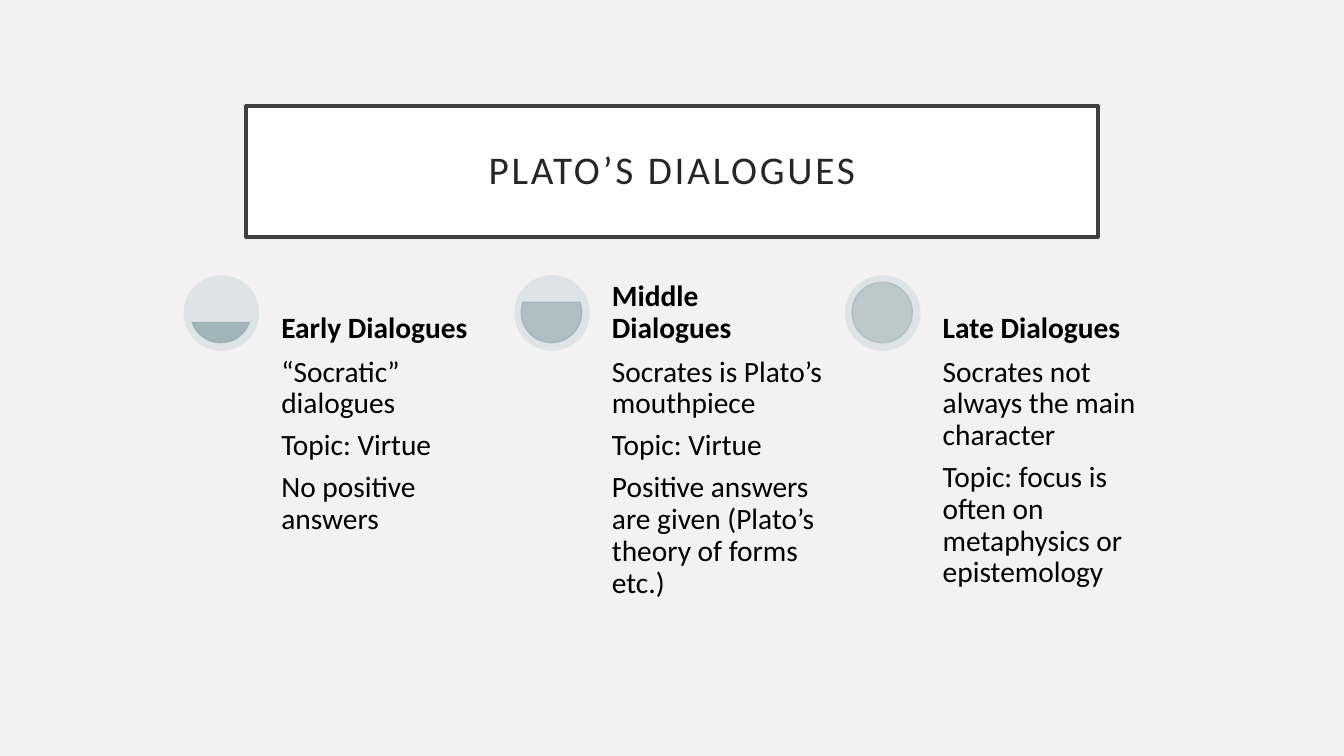
from dataclasses import dataclass
from math import asin, degrees

from lxml.etree import SubElement
from pptx import Presentation
from pptx.dml.color import RGBColor as RGB
from pptx.enum.shapes import MSO_SHAPE as SHAPE
from pptx.enum.text import MSO_ANCHOR as ANCHOR, MSO_AUTO_SIZE as AUTOSIZE, PP_ALIGN as ALIGN
from pptx.oxml.ns import qn
from pptx.util import Inches, Pt


@dataclass(frozen=True)
class Theme:
    """Colours, font and type sizes of the slide."""
    background: RGB = RGB(0xF2, 0xF2, 0xF2)
    panel: RGB = RGB(0xFF, 0xFF, 0xFF)
    border: RGB = RGB(0x40, 0x40, 0x40)
    title: RGB = RGB(0x26, 0x26, 0x26)
    text: RGB = RGB(0, 0, 0)
    disc: RGB = RGB(0xDE, 0xE3, 0xE5)
    level: RGB = RGB(0x9B, 0xAF, 0xB5)
    font: str = "Calibri"
    title_size: Pt = Pt(28)
    text_size: Pt = Pt(21)
    text_gap: Pt = Pt(7.35)


THEME = Theme()
LEFT, TOP, PITCH = 1.82, 2.73, 3.28
DISC, LEVEL_INSET, LEVEL = 0.75, 0.07, 0.6
TEXT_OFFSET, TEXT_WIDTH, POINTS_HEIGHT = 0.91, 2.22, 3.16

# Heading, level height from -1 (empty) to 1 (full), opacity in percent, points
PERIODS = [
    ("Early Dialogues", -1 / 3, 90,
     ["“Socratic” dialogues", "Topic: Virtue", "No positive answers"]),
    ("Middle Dialogues", 1 / 3, 70,
     ["Socrates is Plato’s mouthpiece", "Topic: Virtue",
      "Positive answers are given (Plato’s theory of forms etc.)"]),
    ("Late Dialogues", 1, 50,
     ["Socrates not always the main character",
      "Topic: focus is often on metaphysics or epistemology"]),
]


def set_frame(frame, inset, anchor):
    """Wrap a text frame with equal insets and the given anchor."""
    frame.word_wrap = True
    frame.auto_size = AUTOSIZE.NONE
    frame.vertical_anchor = anchor
    frame.margin_left = frame.margin_right = Inches(inset)
    frame.margin_top = frame.margin_bottom = Inches(inset)


def set_font(paragraph, size, color, bold=False):
    """Give a paragraph the theme font and tight lines."""
    paragraph.line_spacing = 0.9
    paragraph.font.name = THEME.font
    paragraph.font.size = size
    paragraph.font.bold = bold
    paragraph.font.color.rgb = color


def add_title(slide, text):
    """Turn the title placeholder into a bordered panel."""
    title = slide.shapes.title
    title.left, title.top = Inches(2.44), Inches(1.05)
    title.width, title.height = Inches(8.45), Inches(1.3)
    title.fill.solid()
    title.fill.fore_color.rgb = THEME.panel
    title.line.color.rgb = THEME.border
    title.line.width = Pt(2.5)
    set_frame(title.text_frame, 0.2, ANCHOR.MIDDLE)
    heading = title.text_frame.paragraphs[0]
    heading.alignment = ALIGN.CENTER
    letters = heading.add_run()
    letters.text = text
    letters.font._element.set("spc", "200")
    set_font(heading, THEME.title_size, THEME.title)


def add_round(slide, kind, left, top, size, color):
    """Add a filled round shape without a shadow or line."""
    disc = slide.shapes.add_shape(kind, Inches(left), Inches(top), Inches(size), Inches(size))
    disc.shadow.inherit = False
    disc.fill.solid()
    disc.fill.fore_color.rgb = color
    disc.line.fill.background()
    return disc


def add_gauge(slide, left, height, opacity):
    """Add a disc filled up to the given height."""
    add_round(slide, SHAPE.OVAL, left, TOP, DISC, THEME.disc)
    level = add_round(slide, SHAPE.CHORD, left + LEVEL_INSET, TOP + LEVEL_INSET, LEVEL, THEME.level)
    tilt = -degrees(asin(height))
    level.adjustments[0] = tilt % 360 * 0.6
    level.adjustments[1] = (180 - tilt) * 0.6
    level.line.color.rgb = THEME.level
    level.line.width = Pt(1)
    for color in level._element.spPr.iter(qn("a:srgbClr")):
        SubElement(color, qn("a:alpha")).set("val", str(opacity * 1000))


def add_text(slide, left, top, height, lines, anchor, bold=False):
    """Add a text box with one paragraph for each line."""
    box = slide.shapes.add_textbox(Inches(left), Inches(top), Inches(TEXT_WIDTH), Inches(height))
    set_frame(box.text_frame, 0.06, anchor)
    box.text_frame.text = "\n".join(lines)
    for paragraph in box.text_frame.paragraphs:
        paragraph.space_after = THEME.text_gap
        set_font(paragraph, THEME.text_size, THEME.text, bold)


def main():
    """Build and save the slide."""
    deck = Presentation()
    deck.slide_width, deck.slide_height = Inches(13.33), Inches(7.5)
    slide = deck.slides.add_slide(deck.slide_layouts.get_by_name("Title Only"))
    slide.background.fill.solid()
    slide.background.fill.fore_color.rgb = THEME.background
    add_title(slide, "PLATO’S DIALOGUES")
    for column, (heading, height, opacity, points) in enumerate(PERIODS):
        left = LEFT + column * PITCH
        add_gauge(slide, left, height, opacity)
        add_text(slide, left + TEXT_OFFSET, TOP + DISC, POINTS_HEIGHT, points, ANCHOR.TOP)
        add_text(slide, left + TEXT_OFFSET, TOP, DISC, [heading], ANCHOR.BOTTOM, bold=True)
    deck.save("out.pptx")


if __name__ == "__main__":
    main()
